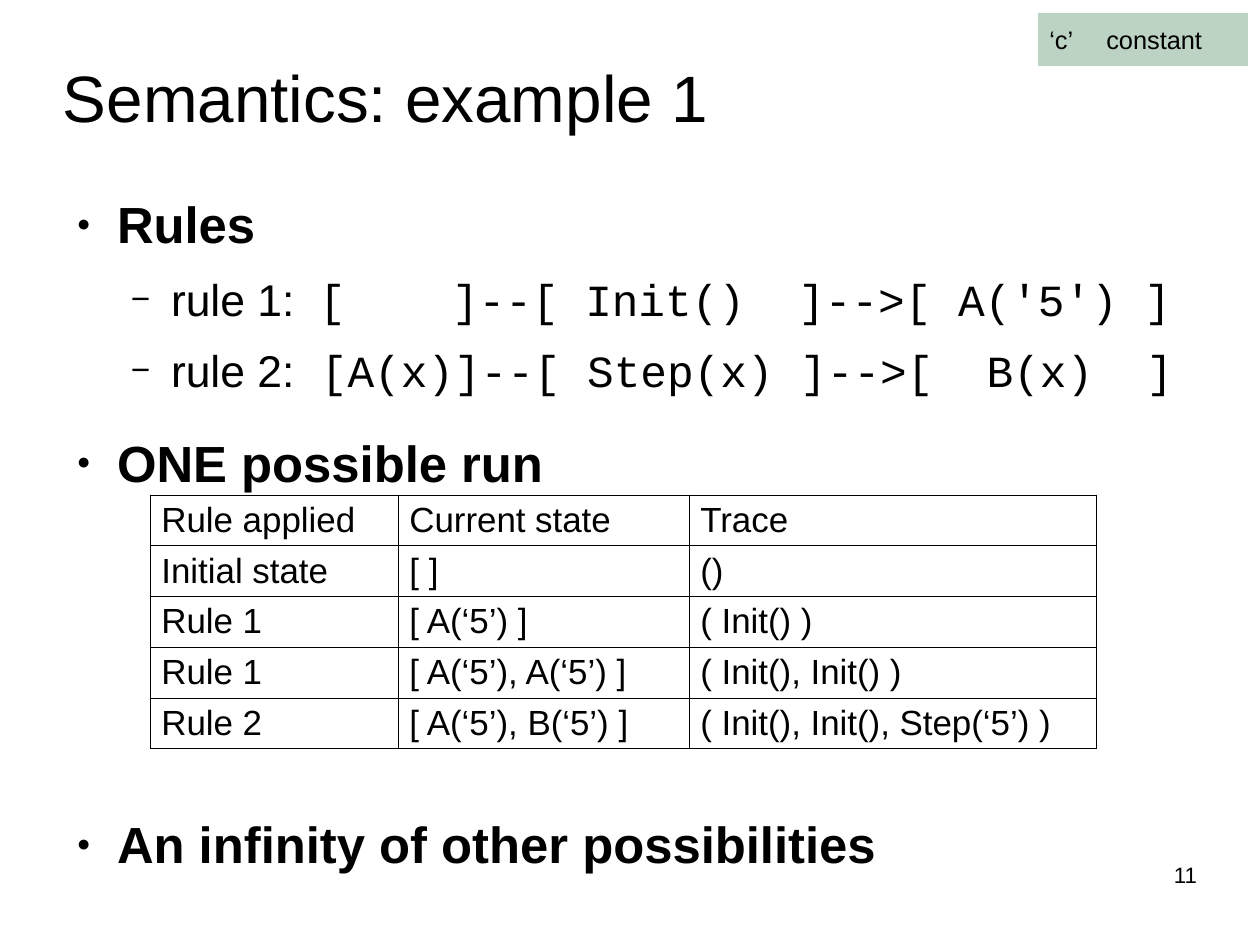
from dataclasses import dataclass

from lxml.etree import SubElement
from pptx import Presentation
from pptx.dml.color import RGBColor
from pptx.enum.shapes import MSO_SHAPE
from pptx.enum.text import MSO_ANCHOR, MSO_AUTO_SIZE, PP_ALIGN
from pptx.oxml import parse_xml
from pptx.oxml.ns import nsdecls, qn
from pptx.shapes.base import BaseShape
from pptx.slide import Slide
from pptx.table import _Cell
from pptx.text.text import TextFrame, _Paragraph
from pptx.util import Emu, Pt

PX = 8000
WIDE, HIGH = 1260, 945
HUES = {"ink": "000000", "paper": "FFFFFF", "tag": "BCD2C3"}
SANS, MONO = "Arial", "Courier New"


@dataclass(frozen=True)
class Box:
    left: int
    top: int
    width: int
    height: int

    def emu(self) -> list[Emu]:
        return [Emu(n * PX) for n in (self.left, self.top, self.width, self.height)]


@dataclass(frozen=True)
class Style:
    size: float
    bold: bool
    level: int
    margin: int
    mark: str
    scale: int


@dataclass(frozen=True)
class Item:
    style: Style
    text: str
    code: str = ""
    before: float = 0


HEAD = Style(32, True, 0, 54, "●", 45)
RULE = Style(28, False, 1, 108, "−", 75)
HANG = -40
STOP = 57

TITLE = Box(63, 38, 1134, 117)
BODY = Box(63, 193, 1134, 657)
TAG = Box(1038, 13, 210, 53)
GRID = Box(150, 495, 946, 254)
PAGE = Box(903, 861, 294, 65)
COLS = (248, 291, 407)

ITEMS = (
    Item(HEAD, "Rules"),
    Item(RULE, "rule 1:  ", "[    ]--[ Init()  ]-->[ A('5') ]", 11.3),
    Item(RULE, "rule 2:", " [A(x)]--[ Step(x) ]-->[  B(x)  ]", 11.3),
    Item(HEAD, "ONE possible run", before=21.8),
    Item(HEAD, "An infinity of other possibilities", before=202),
)

ROWS = (
    ("Rule applied", "Current state", "Trace"),
    ("Initial state", "[ ]", "()"),
    ("Rule 1", "[ A(‘5’) ]", "( Init() )"),
    ("Rule 1", "[ A(‘5’), A(‘5’) ]", "( Init(), Init() )"),
    ("Rule 2", "[ A(‘5’), B(‘5’) ]", "( Init(), Init(), Step(‘5’) )"),
)


def hue(name: str) -> RGBColor:
    return RGBColor.from_string(HUES[name])


def add_run(para: _Paragraph, text: str, size: float, face: str = SANS, bold: bool = False) -> None:
    run = para.add_run()
    run.text = text
    run.font.name = face
    run.font.size = Pt(size)
    run.font.bold = bold
    run.font.color.rgb = hue("ink")


def set_frame(frame: TextFrame) -> None:
    frame.word_wrap = True
    frame.auto_size = MSO_AUTO_SIZE.NONE
    frame.margin_left = frame.margin_right = 0
    frame.margin_top = frame.margin_bottom = 0


def place(shape: BaseShape, box: Box) -> None:
    shape.left, shape.top, shape.width, shape.height = box.emu()


def add_mark(para: _Paragraph, style: Style) -> None:
    props = para._p.get_or_add_pPr()
    props.set("marL", str(style.margin * PX))
    props.set("indent", str(HANG * PX))
    tint = SubElement(props, qn("a:buClr"))
    SubElement(tint, qn("a:srgbClr"), val=HUES["ink"])
    SubElement(props, qn("a:buSzPct"), val=str(style.scale * 1000))
    SubElement(props, qn("a:buFont"), typeface=SANS)
    SubElement(props, qn("a:buChar"), char=style.mark)


def add_title(slide: Slide) -> None:
    title = slide.shapes.title
    place(title, TITLE)
    frame = title.text_frame
    set_frame(frame)
    frame.vertical_anchor = MSO_ANCHOR.MIDDLE
    para = frame.paragraphs[0]
    para.alignment = PP_ALIGN.LEFT
    add_run(para, "Semantics: example 1", 41.3)


def add_body(slide: Slide) -> None:
    body = slide.placeholders[1]
    place(body, BODY)
    frame = body.text_frame
    set_frame(frame)
    for rank, item in enumerate(ITEMS):
        para = frame.add_paragraph() if rank else frame.paragraphs[0]
        style = item.style
        add_mark(para, style)
        para.level = style.level
        para.space_before = Pt(item.before)
        add_run(para, item.text, style.size, bold=style.bold)
        if item.code:
            add_run(para, item.code, style.size, MONO)


def add_tag(slide: Slide) -> None:
    tag = slide.shapes.add_shape(MSO_SHAPE.RECTANGLE, *TAG.emu())
    tag.shadow.inherit = False
    tag.fill.solid()
    tag.fill.fore_color.rgb = hue("tag")
    tag.line.fill.background()
    frame = tag.text_frame
    frame.word_wrap = True
    frame.vertical_anchor = MSO_ANCHOR.MIDDLE
    para = frame.paragraphs[0]
    tabs = SubElement(para._p.get_or_add_pPr(), qn("a:tabLst"))
    SubElement(tabs, qn("a:tab"), pos=str(STOP * PX), algn="l")
    para.alignment = PP_ALIGN.LEFT
    add_run(para, "‘c’\tconstant", 16)


def add_edges(cell: _Cell) -> None:
    props = cell._tc.get_or_add_tcPr()
    for rank, side in enumerate("LRTB"):
        edge = parse_xml(
            f'<a:ln{side} {nsdecls("a")} w="{Pt(0.57)}"><a:solidFill>'
            f'<a:srgbClr val="{HUES["ink"]}"/></a:solidFill></a:ln{side}>'
        )
        props.insert(rank, edge)


def add_grid(slide: Slide) -> None:
    table = slide.shapes.add_table(len(ROWS), len(COLS), *GRID.emu()).table
    table.first_row = table.horz_banding = False
    for col, width in zip(table.columns, COLS):
        col.width = Emu(width * PX)
    for y, row in enumerate(ROWS):
        for x, text in enumerate(row):
            cell = table.cell(y, x)
            cell.fill.background()
            add_edges(cell)
            add_run(cell.text_frame.paragraphs[0], text, 22)


def add_page(slide: Slide) -> None:
    frame = slide.shapes.add_textbox(*PAGE.emu()).text_frame
    set_frame(frame)
    para = frame.paragraphs[0]
    para.alignment = PP_ALIGN.RIGHT
    add_run(para, "11", 14)


def main() -> None:
    deck = Presentation()
    deck.slide_width, deck.slide_height = Emu(WIDE * PX), Emu(HIGH * PX)
    slide = deck.slides.add_slide(deck.slide_layouts[1])
    for draw in (add_title, add_body, add_tag, add_grid, add_page):
        draw(slide)
    deck.save("out.pptx")


if __name__ == "__main__":
    main()
